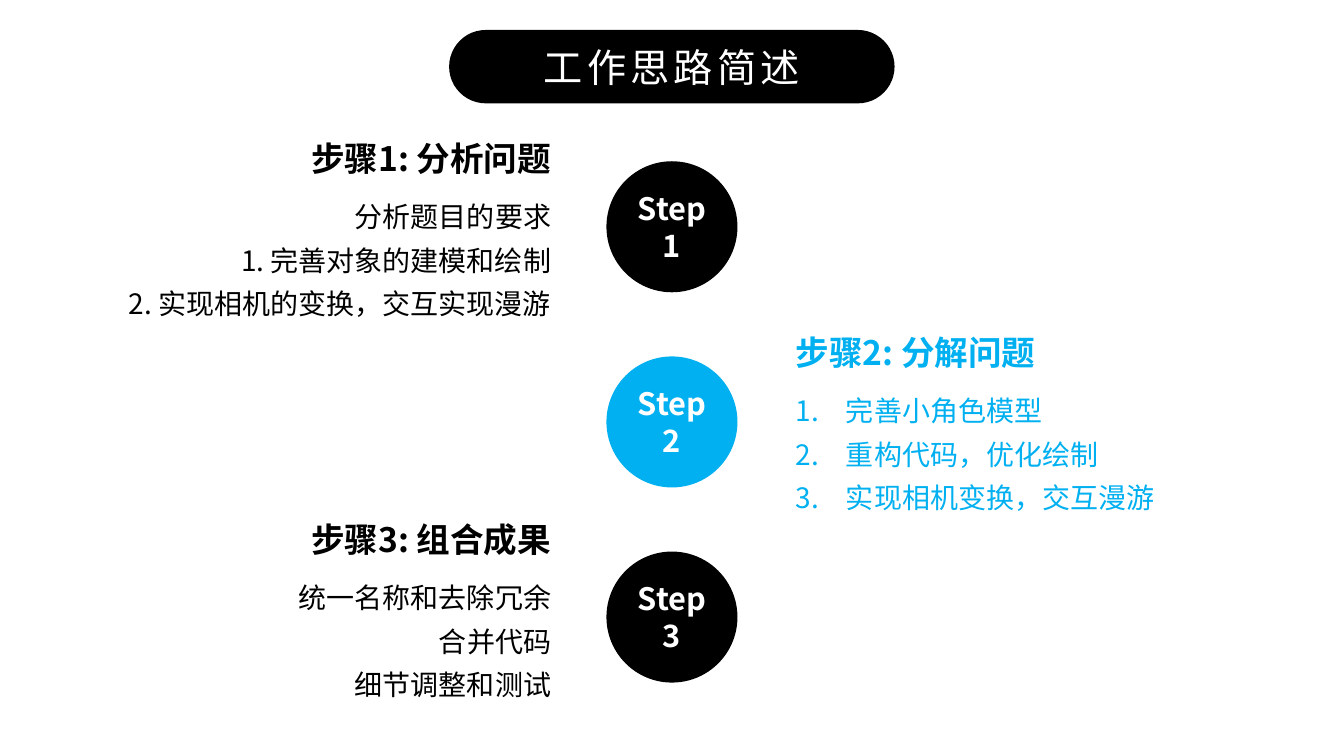
from lxml.etree import SubElement
from pptx import Presentation
from pptx.dml.color import RGBColor
from pptx.enum.shapes import MSO_SHAPE
from pptx.enum.text import MSO_ANCHOR, MSO_AUTO_SIZE, PP_ALIGN
from pptx.oxml import parse_xml
from pptx.oxml.ns import nsdecls, qn
from pptx.util import Pt

FONT = "Noto Sans CJK SC"
COLORS = {"black": "000000", "blue": "00B0F0", "white": "FFFFFF"}

CIRCLE_LEFT, CIRCLE_TOP, CIRCLE_SIZE, CIRCLE_PITCH = 433.2, 115.2, 93.6, 139.4
HEADING_HEIGHT, BODY_HEIGHT = 36.4, 101.5

# Heading, body lines, color, top and side of each step
STEPS = [
    ("步骤1: 分析问题",
     ["分析题目的要求", "1. 完善对象的建模和绘制", "2. 实现相机的变换，交互实现漫游"],
     "black", 95.2, "left"),
    ("步骤2: 分解问题",
     ["完善小角色模型", "重构代码，优化绘制", "实现相机变换，交互漫游"],
     "blue", 233.8, "right"),
    ("步骤3: 组合成果",
     ["统一名称和去除冗余", "合并代码", "细节调整和测试"],
     "black", 367.4, "left"),
]


def style_paragraph(paragraph, size, color, bold=False, align=PP_ALIGN.LEFT):
    """Set alignment and font, and return the paragraph's font properties."""
    paragraph.alignment = align
    font = paragraph.font
    font.size = Pt(size)
    font.bold = bold
    font.name = FONT
    font.color.rgb = RGBColor.from_string(COLORS[color])
    properties = paragraph._p.pPr.find(qn("a:defRPr"))
    SubElement(properties, qn("a:ea")).set("typeface", FONT)
    return properties


def number_paragraph(paragraph, font_properties):
    """Give the paragraph an automatic number with a hanging indent."""
    paragraph_properties = paragraph._p.pPr
    paragraph_properties.set("marL", str(Pt(36)))
    paragraph_properties.set("indent", str(Pt(-36)))
    font_properties.addprevious(
        parse_xml(f'<a:buAutoNum {nsdecls("a")} type="arabicPeriod"/>'))


def add_filled_shape(slide, kind, left, top, width, height, fill, text, size,
                     bold=False, spacing=0):
    shape = slide.shapes.add_shape(kind, Pt(left), Pt(top), Pt(width), Pt(height))
    shape.shadow.inherit = False
    shape.fill.solid()
    shape.fill.fore_color.rgb = RGBColor.from_string(COLORS[fill])
    shape.line.fill.background()
    frame = shape.text_frame
    frame.word_wrap = True
    frame.vertical_anchor = MSO_ANCHOR.MIDDLE
    paragraph = frame.paragraphs[0]
    paragraph.text = text
    properties = style_paragraph(paragraph, size, "white", bold, PP_ALIGN.CENTER)
    if spacing:
        properties.set("spc", str(spacing * 100))
    return shape


def add_text(slide, left, top, width, height, lines, size, color, align,
             bold=False, line_spacing=None, numbered=False):
    box = slide.shapes.add_textbox(Pt(left), Pt(top), Pt(width), Pt(height))
    frame = box.text_frame
    frame.word_wrap = True
    frame.auto_size = MSO_AUTO_SIZE.SHAPE_TO_FIT_TEXT
    frame.text = "\n".join(lines)
    for paragraph in frame.paragraphs:
        properties = style_paragraph(paragraph, size, color, bold, align)
        paragraph.line_spacing = line_spacing
        if numbered:
            number_paragraph(paragraph, properties)


def add_step(slide, index, heading, lines, color, top, side):
    add_filled_shape(slide, MSO_SHAPE.OVAL, CIRCLE_LEFT,
                     CIRCLE_TOP + index * CIRCLE_PITCH, CIRCLE_SIZE, CIRCLE_SIZE,
                     color, f"Step {index + 1}", 22, bold=True)
    on_right = side == "right"
    left, width = (561.2, 392.4) if on_right else (31.4, 369.4)
    align = PP_ALIGN.LEFT if on_right else PP_ALIGN.RIGHT
    add_text(slide, left, top, width, HEADING_HEIGHT, [heading], 24, color, align,
             bold=True)
    add_text(slide, left, top + HEADING_HEIGHT, width, BODY_HEIGHT, lines, 20, color,
             align, line_spacing=1.3, numbered=on_right)


def main():
    presentation = Presentation()
    presentation.slide_width, presentation.slide_height = Pt(960), Pt(540)
    slide = presentation.slides.add_slide(presentation.slide_layouts[6])

    # Title pill
    title = add_filled_shape(slide, MSO_SHAPE.ROUNDED_RECTANGLE, 320.8, 21.4, 318.2, 52.4,
                             "black", "工作思路简述", 28, spacing=3)
    title.adjustments[0] = 0.5

    # Three steps down the middle, text on alternating sides
    for index, step in enumerate(STEPS):
        add_step(slide, index, *step)

    presentation.save("out.pptx")


if __name__ == "__main__":
    main()
